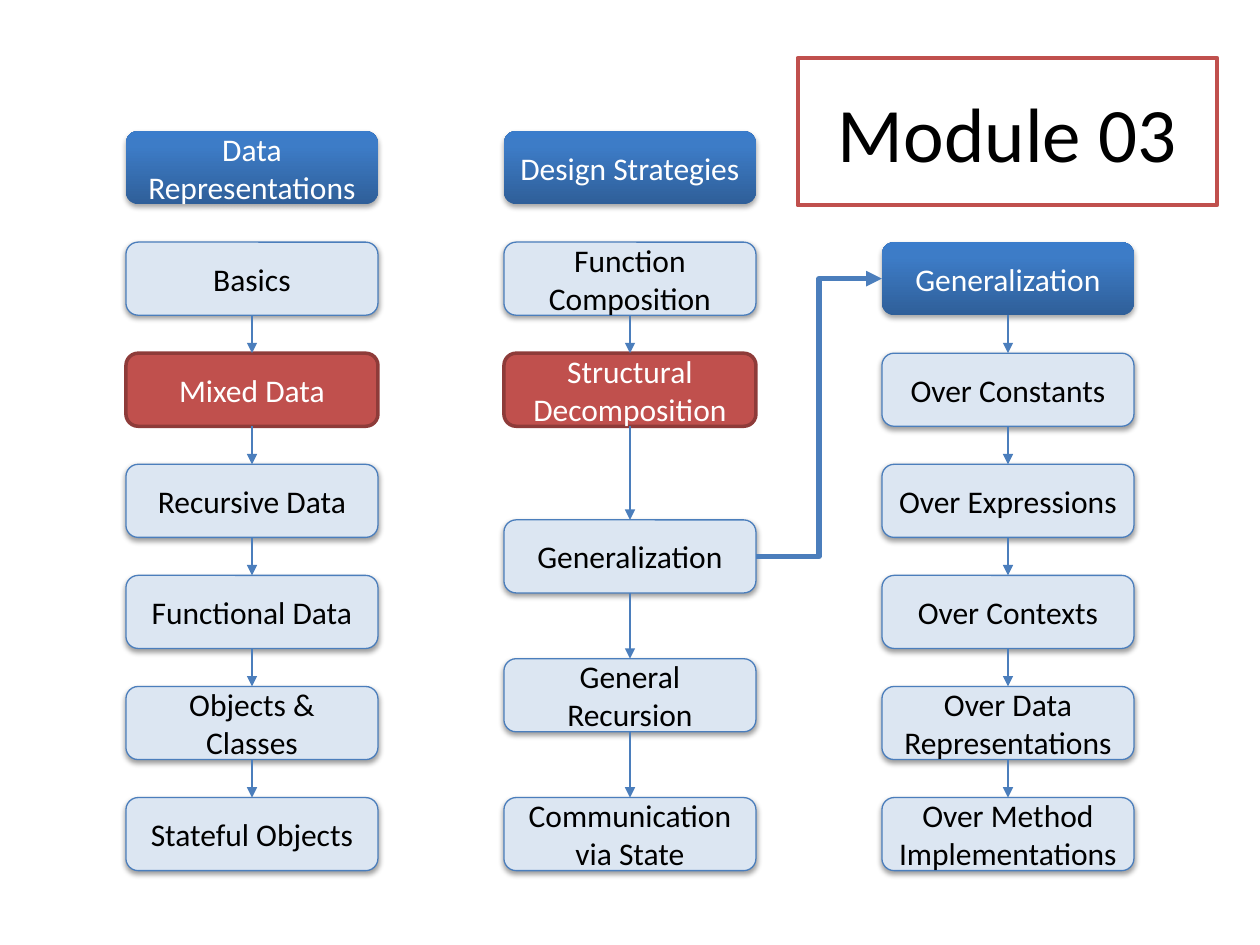
"""Build the Module 03 course map: three columns of linked topics."""
from copy import deepcopy
from dataclasses import dataclass
from itertools import pairwise
from typing import Optional

from lxml.etree import SubElement
from pptx import Presentation
from pptx.dml.color import RGBColor
from pptx.enum.shapes import MSO_CONNECTOR as Link, MSO_SHAPE as Form
from pptx.enum.text import MSO_ANCHOR as Anchor, MSO_AUTO_SIZE as Fit, PP_ALIGN as Align
from pptx.oxml.ns import qn
from pptx.util import Inches, Pt

FIRST_ROW, LAST_ROW, ROW_STEPS = 1.04, 6.33, 6
PITCH = (LAST_ROW - FIRST_ROW) / ROW_STEPS
BOX_WIDTH, BOX_HEIGHT = 2, 0.58
BLUE = "4B7EBC"
BOTTOM_SITE, TOP_SITE, LEFT_SITE, RIGHT_SITE = 2, 0, 1, 3


@dataclass(frozen=True)
class Shadow:
    opacity: int
    distance: float
    blur: float = 3.1


@dataclass(frozen=True)
class Style:
    stops: tuple
    ink: str
    edge: Optional[str] = None
    edge_width: float = 0.75
    shadow: Optional[Shadow] = None


@dataclass(frozen=True)
class Topic:
    label: str
    row: float
    style: Style


@dataclass(frozen=True)
class Column:
    left: float
    topics: tuple
    first_linked: int


HEADING = Style(((0, "2F5F99"), (0.8, "3D7CC7"), (1, "3A7CCB")), "FFFFFF", shadow=Shadow(35, 1.8))
PLAIN = Style(((0, "DCE6F2"),), "000000", BLUE, shadow=Shadow(38, 1.6))
CURRENT = Style(((0, "C0504D"),), "FFFFFF", "8E3B39", 2)

COLUMNS = (
    Column(1, (
        Topic("Data Representations", 0, HEADING),
        Topic("Basics", 1, PLAIN),
        Topic("Mixed Data", 2, CURRENT),
        Topic("Recursive Data", 3, PLAIN),
        Topic("Functional Data", 4, PLAIN),
        Topic("Objects & Classes", 5, PLAIN),
        Topic("Stateful Objects", 6, PLAIN),
    ), 1),
    Column(4, (
        Topic("Design Strategies", 0, HEADING),
        Topic("Function Composition", 1, PLAIN),
        Topic("Structural Decomposition", 2, CURRENT),
        Topic("Generalization", 3.5, PLAIN),
        Topic("General Recursion", 4.75, PLAIN),
        Topic("Communication via State", 6, PLAIN),
    ), 1),
    Column(7, (
        Topic("Generalization", 1, HEADING),
        Topic("Over Constants", 2, PLAIN),
        Topic("Over Expressions", 3, PLAIN),
        Topic("Over Contexts", 4, PLAIN),
        Topic("Over Data Representations", 5, PLAIN),
        Topic("Over Method Implementations", 6, PLAIN),
    ), 0),
)


def color(value: str) -> RGBColor:
    return RGBColor.from_string(value)


def assign(target, values: dict) -> None:
    for name, value in values.items():
        setattr(target, name, value)


def write(shape, text: str, size: float, ink: str) -> None:
    frame = shape.text_frame
    assign(frame, {"word_wrap": True, "auto_size": Fit.NONE, "vertical_anchor": Anchor.MIDDLE})
    para = frame.paragraphs[0]
    para.alignment = Align.CENTER
    span = para.add_run()
    span.text = text
    assign(span.font, {"name": "Calibri", "size": Pt(size)})
    span.font.color.rgb = color(ink)


def outline(shape, edge: str, width: float) -> None:
    shape.line.color.rgb = color(edge)
    shape.line.width = Pt(width)


def paint(shape, stops: tuple) -> None:
    if len(stops) == 1:
        shape.fill.solid()
        shape.fill.fore_color.rgb = color(stops[0][1])
        return
    shape.fill.gradient()
    shape.fill.gradient_angle = 90
    stop_list = next(shape.element.spPr.iter(qn("a:gsLst")))
    while len(stop_list) < len(stops):
        stop_list.append(deepcopy(stop_list[-1]))
    for stop, (position, value) in zip(shape.fill.gradient_stops, stops):
        stop.position = position
        stop.color.rgb = color(value)


def cast_shadow(shape, shadow: Shadow) -> None:
    effects = shape.element.spPr.find(qn("a:effectLst"))
    outer = SubElement(effects, qn("a:outerShdw"), {
        "blurRad": str(Pt(shadow.blur)), "dist": str(Pt(shadow.distance)),
        "dir": "5400000", "rotWithShape": "0"})
    tint = SubElement(outer, qn("a:srgbClr"), val="000000")
    SubElement(tint, qn("a:alpha"), val=str(shadow.opacity * 1000))


def add_topic(page, left: float, topic: Topic):
    style = topic.style
    box = page.shapes.add_shape(
        Form.ROUNDED_RECTANGLE, Inches(left), Inches(FIRST_ROW + topic.row * PITCH),
        Inches(BOX_WIDTH), Inches(BOX_HEIGHT))
    box.shadow.inherit = False
    paint(box, style.stops)
    if style.edge:
        outline(box, style.edge, style.edge_width)
    else:
        box.line.fill.background()
    if style.shadow:
        cast_shadow(box, style.shadow)
    write(box, topic.label, 18, style.ink)
    return box


def add_arrow(page, start, end, kind=Link.STRAIGHT, sites=(BOTTOM_SITE, TOP_SITE), width=0.75) -> None:
    arrow = page.shapes.add_connector(kind, start.left, start.top, end.left, end.top)
    arrow.begin_connect(start, sites[0])
    arrow.end_connect(end, sites[1])
    outline(arrow, BLUE, width)
    properties = arrow.element.spPr
    SubElement(properties.find(qn("a:ln")), qn("a:tailEnd"), type="triangle")
    SubElement(properties, qn("a:effectLst"))


def add_title(page) -> None:
    title = page.shapes.title
    assign(title, {"left": Inches(6.33), "top": Inches(0.46),
                   "width": Inches(3.33), "height": Inches(1.17)})
    geometry = SubElement(title.element.spPr, qn("a:prstGeom"), prst="roundRect")
    SubElement(geometry, qn("a:avLst"))
    title.fill.background()
    outline(title, "C0504D", 2.25)
    write(title, "Module 03", 44, "000000")


def main() -> None:
    deck = Presentation()
    assign(deck, {"slide_width": Inches(10), "slide_height": Inches(7.5)})
    page = deck.slides.add_slide(deck.slide_layouts[5])
    add_title(page)
    stacks = []
    for column in COLUMNS:
        stack = [add_topic(page, column.left, topic) for topic in column.topics]
        for upper, lower in pairwise(stack[column.first_linked:]):
            add_arrow(page, upper, lower)
        stacks.append(stack)
    add_arrow(page, stacks[1][3], stacks[2][0], Link.ELBOW, (RIGHT_SITE, LEFT_SITE), 3)
    deck.save("out.pptx")


if __name__ == "__main__":
    main()
